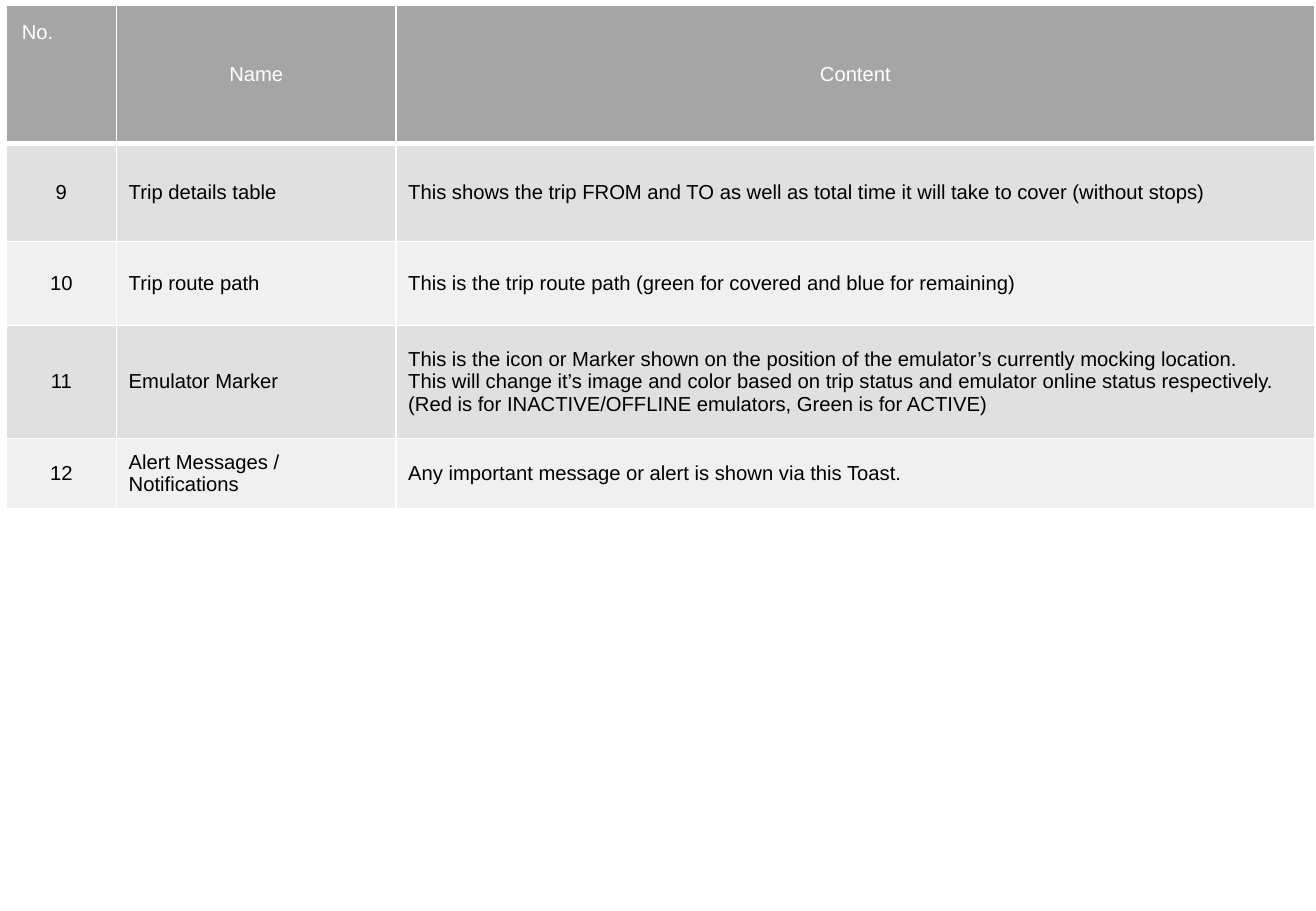
from dataclasses import dataclass

from lxml.etree import SubElement
from pptx import Presentation
from pptx.dml.color import RGBColor
from pptx.enum.text import MSO_ANCHOR, PP_ALIGN
from pptx.oxml.ns import qn
from pptx.util import Inches, Pt


@dataclass(frozen=True)
class Theme:
    font: str = "Arial"
    text_size: float = 12
    header_fill: str = "A5A5A5"
    header_text: str = "FFFFFF"
    body_fills: tuple = ("E0E0E0", "F0F0F0")
    body_text: str = "000000"
    border: str = "FFFFFF"
    thin_line: float = 0.96
    thick_line: float = 3


HEADINGS = ("No.", "Name", "Content")
ENTRIES = (
    ("9", "Trip details table",
     "This shows the trip FROM and TO as well as total time it will take to cover (without stops)"),
    ("10", "Trip route path",
     "This is the trip route path (green for covered and blue for remaining)"),
    ("11", "Emulator Marker",
     "This is the icon or Marker shown on the position of the emulator’s currently mocking location.\v"
     "This will change it’s image and color based on trip status and emulator online status respectively.\n"
     "(Red is for INACTIVE/OFFLINE emulators, Green is for ACTIVE)"),
    ("12", "Alert Messages / Notifications",
     "Any important message or alert is shown via this Toast."),
)

# Shares of the slide's width and height, in percent
TABLE_LEFT, TABLE_TOP = 0.46, 0.53
COLUMN_SHARES = (8.4, 21.24, 69.81)
ROW_SHARES = (15.2, 10.8, 9.2, 12.4, 7.73)


class SlideBuilder:
    def __init__(self, deck, theme):
        self.deck = deck
        self.theme = theme
        self.slide = deck.slides.add_slide(deck.slide_layouts[6])

    def across(self, percent):
        return round(self.deck.slide_width * percent / 100)

    def down(self, percent):
        return round(self.deck.slide_height * percent / 100)

    def table(self, left, top, column_shares, row_shares, rows):
        frame = self.slide.shapes.add_table(
            len(row_shares), len(column_shares), self.across(left), self.down(top),
            self.across(sum(column_shares)), self.down(sum(row_shares)))
        table = frame.table
        for column, share in zip(table.columns, column_shares):
            column.width = self.across(share)
        for row, share in zip(table.rows, row_shares):
            row.height = self.down(share)
        for row_index, texts in enumerate(rows):
            for column_index, text in enumerate(texts):
                self.cell(table.cell(row_index, column_index), text, row_index, column_index)
        return table

    def cell(self, cell, text, row_index, column_index):
        theme = self.theme
        is_header = row_index == 0
        self.borders(cell, row_index)
        cell.fill.solid()
        fill = theme.header_fill if is_header else theme.body_fills[(row_index - 1) % 2]
        cell.fill.fore_color.rgb = RGBColor.from_string(fill)
        cell.vertical_anchor = MSO_ANCHOR.MIDDLE
        cell.text_frame.text = text
        centred = is_header or column_index == 0
        for paragraph in cell.text_frame.paragraphs:
            paragraph.alignment = PP_ALIGN.CENTER if centred else PP_ALIGN.LEFT
            font = paragraph.font
            font.name = theme.font
            font.size = Pt(theme.text_size)
            font.bold = False
            font.color.rgb = RGBColor.from_string(
                theme.header_text if is_header else theme.body_text)

    def borders(self, cell, row_index):
        """Draw all four sides, thick between the header and the first entry."""
        properties = cell._tc.get_or_add_tcPr()
        thick_side = {0: "lnB", 1: "lnT"}.get(row_index)
        for side in ("lnL", "lnR", "lnT", "lnB"):
            width = self.theme.thick_line if side == thick_side else self.theme.thin_line
            line = SubElement(properties, qn(f"a:{side}"), w=str(Pt(width)))
            SubElement(SubElement(line, qn("a:solidFill")), qn("a:srgbClr"),
                       val=self.theme.border)


def main():
    deck = Presentation()
    deck.slide_width, deck.slide_height = Inches(10.83), Inches(7.5)
    builder = SlideBuilder(deck, Theme())
    table = builder.table(TABLE_LEFT, TABLE_TOP, COLUMN_SHARES, ROW_SHARES,
                          (HEADINGS, *ENTRIES))

    number_heading = table.cell(0, 0)
    number_heading.vertical_anchor = MSO_ANCHOR.TOP
    number_heading.margin_left = number_heading.margin_top = Inches(0.13)
    number_heading.text_frame.paragraphs[0].alignment = PP_ALIGN.LEFT

    deck.save("out.pptx")


if __name__ == "__main__":
    main()
